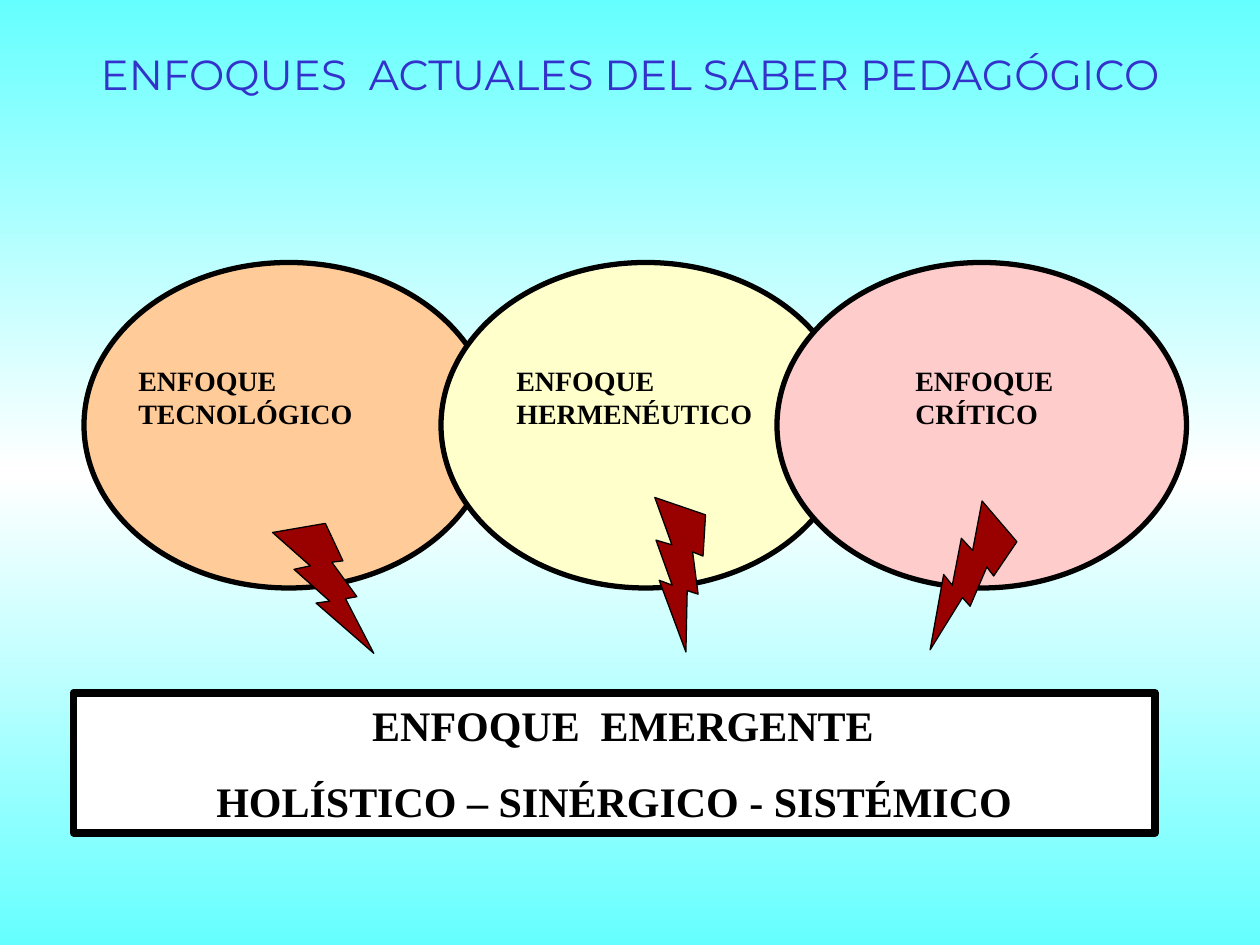
from copy import deepcopy
from dataclasses import dataclass

from pptx import Presentation
from pptx.dml.color import RGBColor
from pptx.enum.shapes import MSO_SHAPE
from pptx.enum.text import MSO_ANCHOR, PP_ALIGN
from pptx.oxml.ns import qn
from pptx.util import Inches, Pt

ELLIPSE, RECT, BOLT = MSO_SHAPE.OVAL, MSO_SHAPE.RECTANGLE, MSO_SHAPE.LIGHTNING_BOLT
LEFT, CENTER = PP_ALIGN.LEFT, PP_ALIGN.CENTER
TOP, MIDDLE = MSO_ANCHOR.TOP, MSO_ANCHOR.MIDDLE

COLS, ROWS = 120, 90  # grid of twelfths of an inch
UNIT = Inches(1 / 12)


@dataclass(frozen=True)
class Theme:
    title_font: str = "Montserrat"
    body_font: str = "Times New Roman"
    title_size: int = 24
    label_size: int = 16
    box_size: int = 24
    title: str = "3333CC"
    ink: str = "000000"
    paper: str = "FFFFFF"
    sky: str = "66FFFF"
    orange: str = "FFCC99"
    yellow: str = "FFFFCC"
    pink: str = "FFCCCC"
    bolt: str = "990000"


class SlideBuilder:
    """Holds the theme and the current slide; places items on the grid."""

    def __init__(self, slide, theme):
        self.slide, self.theme = slide, theme

    def background(self, *colors):
        fill = self.slide.background.fill
        fill.gradient()
        fill.gradient_angle = 90
        gs_list = self.slide._element.find(".//" + qn("a:gsLst"))
        while len(gs_list) < len(colors):
            gs_list.append(deepcopy(gs_list[0]))
        for i, (stop, color) in enumerate(zip(fill.gradient_stops, colors)):
            stop.position = i / (len(colors) - 1)
            stop.color.rgb = RGBColor.from_string(color)

    def shape(self, kind, cell, fill, line_width, rotation=0):
        sp = self.slide.shapes.add_shape(kind, *(round(v * UNIT) for v in cell))
        sp.shadow.inherit = False
        sp.rotation = rotation
        sp.fill.solid()
        sp.fill.fore_color.rgb = RGBColor.from_string(fill)
        sp.line.color.rgb = RGBColor.from_string(self.theme.ink)
        sp.line.width = Pt(line_width)
        return sp

    def textbox(self, cell, *lines, **style):
        sp = self.slide.shapes.add_textbox(*(round(v * UNIT) for v in cell))
        self.set_text(sp, lines, **style)

    def set_text(self, sp, lines, font, size, color, bold=False,
                 align=LEFT, anchor=TOP, before=0):
        tf = sp.text_frame
        tf.word_wrap = True
        tf.vertical_anchor = anchor
        for i, line in enumerate(lines):
            p = tf.paragraphs[0] if i == 0 else tf.add_paragraph()
            p.text = line
            p.alignment = align
            p.space_before = Pt(before)
            p.font.name, p.font.size, p.font.bold = font, Pt(size), bold
            p.font.color.rgb = RGBColor.from_string(color)


def main():
    prs = Presentation()
    prs.slide_width, prs.slide_height = COLS * UNIT, ROWS * UNIT
    t = Theme()
    s = SlideBuilder(prs.slides.add_slide(prs.slide_layouts[6]), t)
    s.background(t.sky, t.paper, t.sky)

    # Title
    s.textbox((3, 4, 114, 11), "ENFOQUES  ACTUALES DEL SABER PEDAGÓGICO",
              font=t.title_font, size=t.title_size, color=t.title, align=CENTER)

    # Overlapping approaches
    for col, color in ((8, t.orange), (42, t.yellow), (74, t.pink)):
        s.shape(ELLIPSE, (col, 25, 39, 31), color, 3)
    for col, width, label in ((12, 29, "ENFOQUE TECNOLÓGICO"),
                              (48, 25, "ENFOQUE HERMENÉUTICO"),
                              (86, 25, "ENFOQUE CRÍTICO")):
        s.textbox((col, 34, width, 7.7), label, font=t.body_font,
                  size=t.label_size, color=t.ink, bold=True, before=10)

    # Emerging approach
    box = s.shape(RECT, (7, 66, 103, 13.3), t.paper, 4.5)
    s.set_text(box, ("ENFOQUE  EMERGENTE", "HOLÍSTICO – SINÉRGICO - SISTÉMICO"),
               font=t.body_font, size=t.box_size, color=t.ink, bold=True,
               align=CENTER, anchor=MIDDLE, before=15)
    # The heading sits slightly right of centre
    heading = box.text_frame.paragraphs[0]
    heading._p.get_or_add_pPr().set("marL", str(Inches(0.14)))

    # Lightning bolts
    for col, row, angle in ((25, 50, 13.1), (86, 49, 72.3), (58.5, 48.5, 41.7)):
        s.shape(BOLT, (col, row, 12, 11), t.bolt, 0.75, angle)

    prs.save("out.pptx")


if __name__ == "__main__":
    main()
